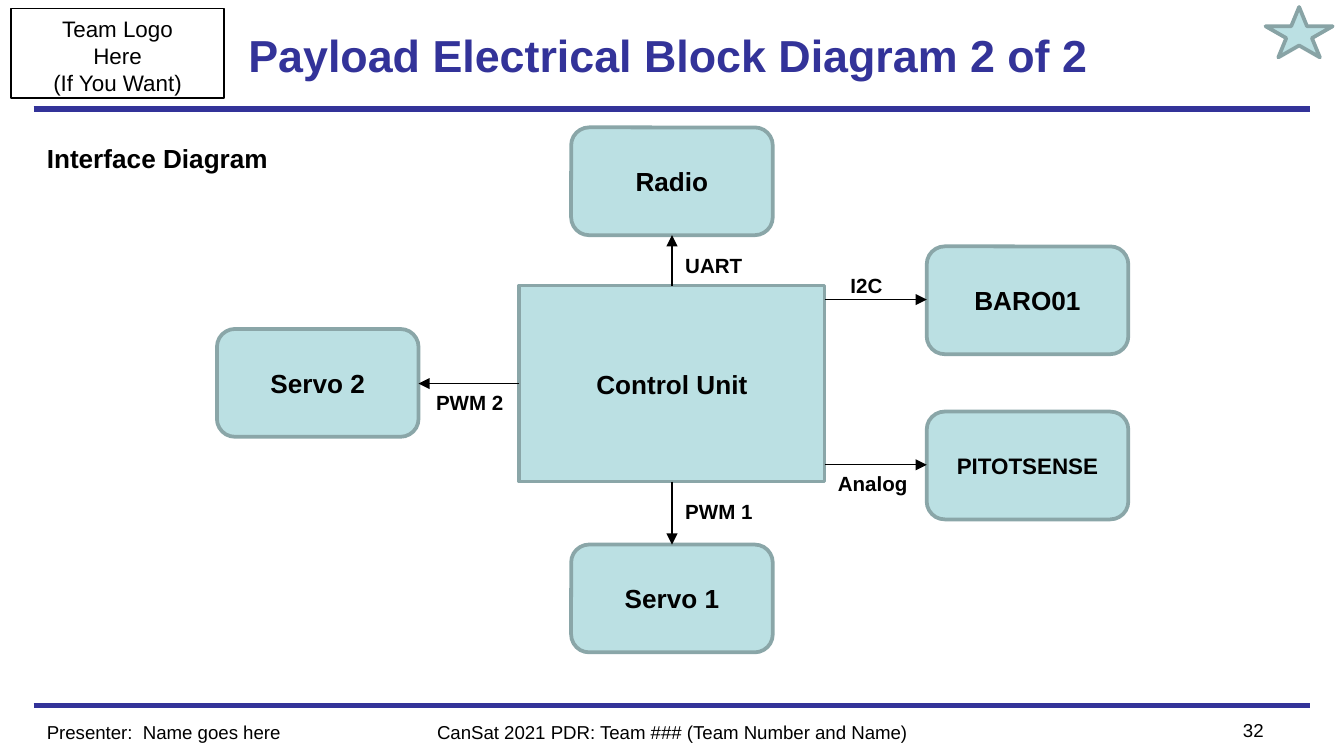
from lxml.etree import SubElement
from pptx import Presentation
from pptx.dml.color import RGBColor
from pptx.enum.shapes import MSO_CONNECTOR, MSO_SHAPE
from pptx.enum.text import MSO_ANCHOR, MSO_AUTO_SIZE, PP_ALIGN
from pptx.oxml.ns import qn
from pptx.util import Pt

PX = 9525  # EMU per px, 96 px to the inch
FONT = "Arial"
COLORS = {
    "navy": "333399",
    "black": "000000",
    "block": "BBE0E3",
    "block_edge": "8AA6A8",
    "star_edge": "88A3A5",
}
BLOCK_WIDTH, BLOCK_HEIGHT = 144, 77
CENTER_X = 480

# Controller edges
HUB_LEFT, HUB_TOP, HUB_WIDTH, HUB_HEIGHT = 371, 204, 218, 140
HUB_RIGHT, HUB_BOTTOM = HUB_LEFT + HUB_WIDTH, HUB_TOP + HUB_HEIGHT

# Text, left, top, size of each peripheral
PERIPHERALS = [
    ("Radio", 408, 91, 14),
    ("BARO01", 662, 176, 14),
    ("PITOTSENSE", 662, 294, 12),
    ("Servo 1", 408, 389, 14),
    ("Servo 2", 155, 235, 14),
]
# Start and end of each signal arrow
SIGNALS = [
    ((CENTER_X, HUB_TOP), (CENTER_X, 168)),
    ((HUB_RIGHT, 214), (662, 214)),
    ((HUB_RIGHT, 332), (662, 332)),
    ((CENTER_X, HUB_BOTTOM), (CENTER_X, 389)),
    ((HUB_LEFT, 274), (299, 274)),
]
# Text, left, top, width of each signal label
SIGNAL_LABELS = [
    ("UART", CENTER_X, 176, 60),
    ("I2C", 598, 190, 42),
    ("Analog", HUB_RIGHT, 332, 70),
    ("PWM 1", CENTER_X, 352, 68),
    ("PWM 2", 302, 274, 68),
]


def color(name):
    return RGBColor.from_string(COLORS[name])


def box(*lengths):
    return [length * PX for length in lengths]


def write(frame, lines, size, bold=False, ink="black",
          align=PP_ALIGN.LEFT, anchor=MSO_ANCHOR.TOP, wrap=True):
    frame.word_wrap = wrap
    frame.vertical_anchor = anchor
    for index, line in enumerate(lines):
        paragraph = frame.add_paragraph() if index else frame.paragraphs[0]
        paragraph.alignment = align
        run = paragraph.add_run()
        run.text = line
        run.font.name = FONT
        run.font.size = Pt(size)
        run.font.bold = bold
        run.font.color.rgb = color(ink)


def add_text(slide, text, bounds, size, **style):
    frame = slide.shapes.add_textbox(*box(*bounds)).text_frame
    write(frame, [text], size, **style)
    return frame


def add_label(slide, text, bounds, size):
    frame = add_text(slide, text, bounds, size, bold=True, wrap=False)
    frame.auto_size = MSO_AUTO_SIZE.SHAPE_TO_FIT_TEXT


def add_figure(slide, kind, bounds, edge, width, fill=None):
    shape = slide.shapes.add_shape(kind, *box(*bounds))
    shape.shadow.inherit = False
    if fill:
        shape.fill.solid()
        shape.fill.fore_color.rgb = color(fill)
    else:
        shape.fill.background()
    shape.line.color.rgb = color(edge)
    shape.line.width = Pt(width)
    return shape


def add_block(slide, kind, text, bounds, size):
    shape = add_figure(slide, kind, bounds, "block_edge", 2, "block")
    write(shape.text_frame, [text], size, bold=True,
          align=PP_ALIGN.CENTER, anchor=MSO_ANCHOR.MIDDLE)


def add_line(slide, start, end, ink, width, arrow=False):
    connector = slide.shapes.add_connector(
        MSO_CONNECTOR.STRAIGHT, *box(*start, *end))
    connector.line.color.rgb = color(ink)
    connector.line.width = Pt(width)
    if arrow:
        SubElement(connector.line._get_or_add_ln(), qn("a:tailEnd"), type="triangle")
    SubElement(connector._element.spPr, qn("a:effectLst"))


def add_frame(slide):
    # Rules above and below the content
    for y in (504, 78):
        add_line(slide, (24, y), (936, y), "navy", 3)

    # Team box, title and star
    team_box = add_figure(slide, MSO_SHAPE.RECTANGLE, (8, 6, 152, 64), "black", 0.75)
    write(team_box.text_frame, ["Team Logo", "Here", "(If You Want)"], 12,
          align=PP_ALIGN.CENTER)
    add_text(slide, "Payload Electrical Block Diagram 2 of 2", (168, 6, 624, 66), 24,
             bold=True, ink="navy", anchor=MSO_ANCHOR.MIDDLE)
    add_figure(slide, MSO_SHAPE.STAR_5_POINT, (904, 5, 48, 36), "star_edge", 2, "block")

    # Footer
    add_text(slide, "Presenter:  Name goes here", (24, 510, 240, 19), 10)
    add_text(slide, "CanSat 2021 PDR: Team ### (Team Number and Name)",
             (288, 510, 384, 19), 10, align=PP_ALIGN.CENTER)
    add_text(slide, "32", (840, 509, 72, 19), 10, align=PP_ALIGN.RIGHT)


def add_diagram(slide):
    add_label(slide, "Interface Diagram", (24, 97, 179, 33), 14)

    # Controller and peripherals
    add_block(slide, MSO_SHAPE.RECTANGLE, "Control Unit",
              (HUB_LEFT, HUB_TOP, HUB_WIDTH, HUB_HEIGHT), 14)
    for text, left, top, size in PERIPHERALS:
        add_block(slide, MSO_SHAPE.ROUNDED_RECTANGLE, text,
                  (left, top, BLOCK_WIDTH, BLOCK_HEIGHT), size)

    # Signals
    for start, end in SIGNALS:
        add_line(slide, start, end, "black", 0.75, arrow=True)
    for text, left, top, width in SIGNAL_LABELS:
        add_label(slide, text, (left, top, width, 28), 11)


def main():
    presentation = Presentation()
    presentation.slide_width, presentation.slide_height = box(960, 540)
    slide = presentation.slides.add_slide(presentation.slide_layouts[6])
    add_frame(slide)
    add_diagram(slide)
    presentation.save("out.pptx")


if __name__ == "__main__":
    main()
